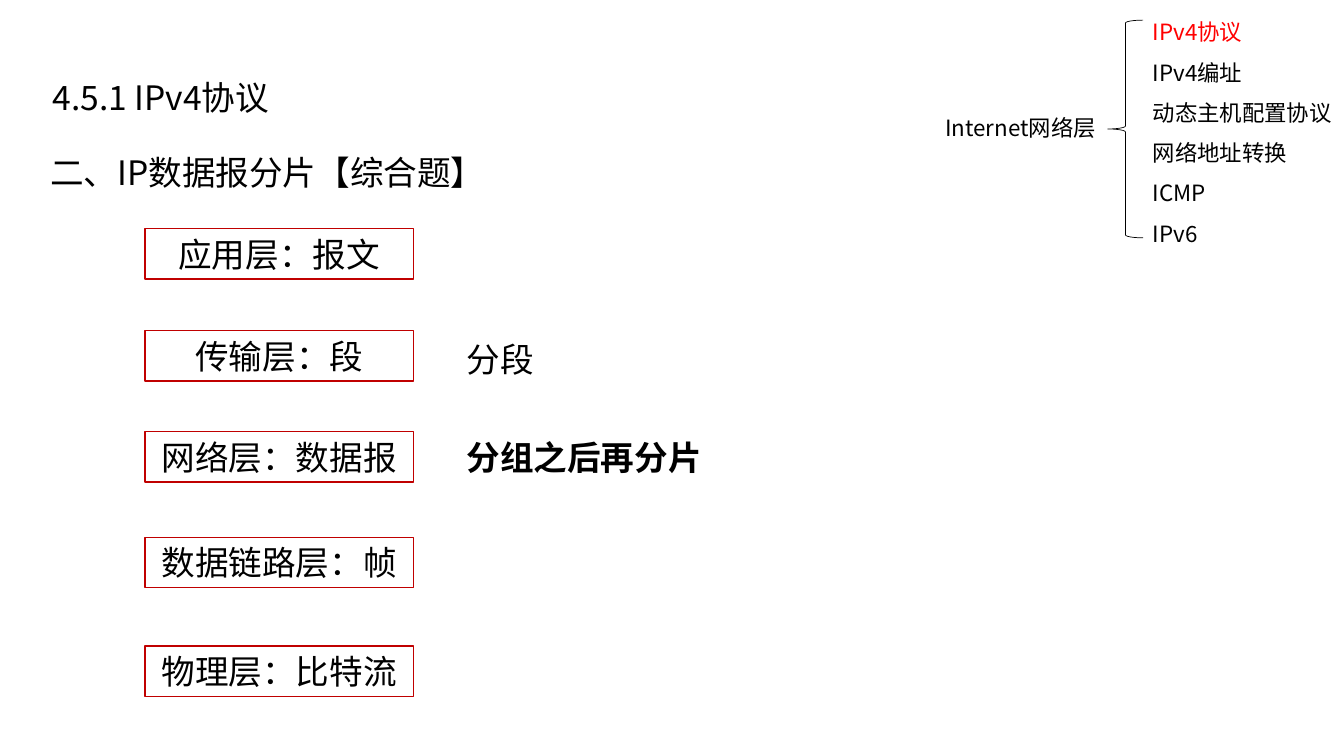
from dataclasses import dataclass

from lxml import etree
from pptx import Presentation
from pptx.dml.color import RGBColor
from pptx.enum import shapes, text
from pptx.oxml import ns
from pptx.util import Pt


@dataclass(frozen=True)
class Theme:
    font: str = "Noto Sans CJK SC"
    ink: RGBColor = RGBColor(0, 0, 0)
    hot: RGBColor = RGBColor(0xFF, 0, 0)
    edge: RGBColor = RGBColor(0xC0, 0, 0)
    big: int = 24
    small: int = 16


THEME = Theme()
LAYERS = [
    ("应用层：报文", 163.4),
    ("传输层：段", 236.2),
    ("网络层：数据报", 308.2),
    ("数据链路层：帧", 383.8),
    ("物理层：比特流", 461.5),
]
TOPICS = ["IPv4协议", "IPv4编址", "动态主机配置协议", "网络地址转换", "ICMP", "IPv6"]


def add_run(para, words, size, color=THEME.ink, bold=False):
    """Add a run with the theme font for both Latin and Chinese letters."""
    run = para.add_run()
    run.text = words
    font = run.font
    font.size, font.name, font.bold = Pt(size), THEME.font, bold
    font.color.rgb = color
    east = etree.SubElement(run._r.get_or_add_rPr(), ns.qn("a:ea"))
    east.set("typeface", THEME.font)


def add_box(slide, area, lines, size=THEME.big, gap=1.5, wrap=True,
            middle=False, bold=False, hot=None):
    """Add a text box; hot is the index of the line in the accent colour."""
    frame = slide.shapes.add_textbox(*map(Pt, area)).text_frame
    frame.word_wrap = wrap
    if middle:
        frame.vertical_anchor = text.MSO_ANCHOR.MIDDLE
    for i, words in enumerate(lines):
        para = frame.add_paragraph() if i else frame.paragraphs[0]
        para.line_spacing = gap
        add_run(para, words, size, THEME.hot if i == hot else THEME.ink, bold)
    return frame


def add_outline(slide, kind, area, color, width):
    shape = slide.shapes.add_shape(kind, *map(Pt, area))
    shape.shadow.inherit = False
    shape.fill.background()
    shape.line.color.rgb = color
    shape.line.width = Pt(width)
    return shape


def add_layer(slide, words, top):
    area = (103.7, top, 191.5, 36)
    shape = add_outline(slide, shapes.MSO_SHAPE.RECTANGLE, area, THEME.edge, 1)
    frame = shape.text_frame
    frame.vertical_anchor = text.MSO_ANCHOR.MIDDLE
    para = frame.paragraphs[0]
    para.alignment = text.PP_ALIGN.CENTER
    add_run(para, words, THEME.big)


def add_outlook(slide):
    """Add the chapter overview at the top right."""
    add_outline(slide, shapes.MSO_SHAPE.LEFT_BRACE,
                (791.3, 14.4, 25.2, 155.5), THEME.ink, 0.5)
    add_box(slide, (816.5, 0, 144, 181.4), TOPICS, THEME.small,
            wrap=False, hot=0)
    add_box(slide, (668.2, 77.8, 124.6, 26.6), ["Internet网络层"],
            THEME.small, gap=1.0)


def main():
    deck = Presentation()
    deck.slide_width, deck.slide_height = Pt(960), Pt(540)
    slide = deck.slides.add_slide(deck.slide_layouts[6])

    add_outlook(slide)
    head = add_box(slide, (28.8, 24.5, 486, 74.9), ["4.5.1 IPv4协议"],
                   middle=True)
    head.margin_left = head.margin_right = Pt(8.64)
    head.margin_top = head.margin_bottom = Pt(4.32)
    add_box(slide, (28.8, 96.5, 402.5, 44.6), ["二、IP数据报分片【综合题】"],
            gap=Pt(37))

    for words, top in LAYERS:
        add_layer(slide, words, top)
    add_box(slide, (326.2, 223.9, 86.4, 51.1), ["分段"], middle=True)
    add_box(slide, (326.2, 296.6, 272.9, 46.1), ["分组之后再分片"],
            middle=True, bold=True)
    deck.save("out.pptx")


if __name__ == "__main__":
    main()
